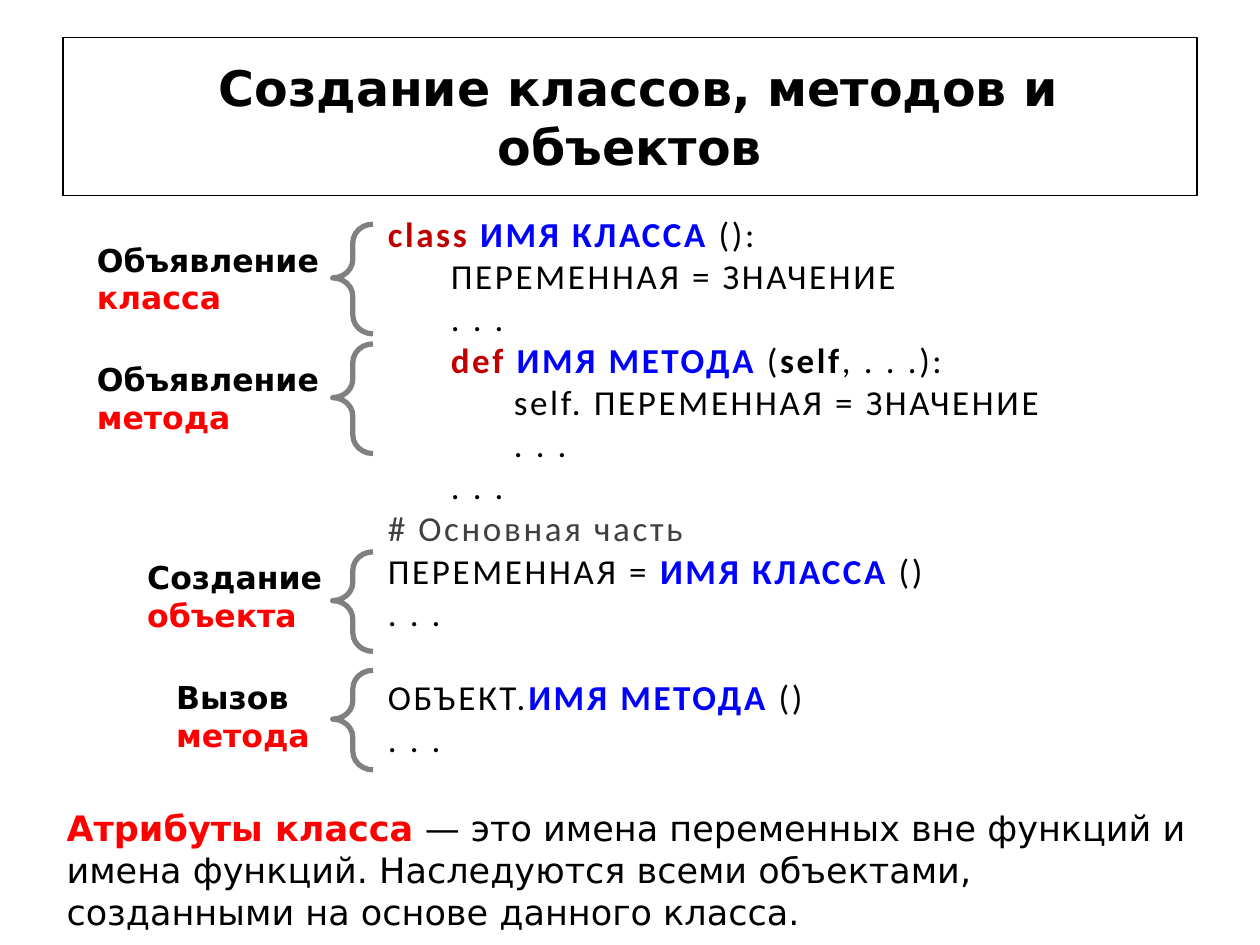
from pptx import Presentation
from pptx import util as u
from pptx.dml.color import RGBColor
from pptx.enum import shapes, text
from lxml import etree

BLACK = RGBColor(0, 0, 0)
WHITE = RGBColor(255, 255, 255)
RED = RGBColor(255, 0, 0)
DARK = RGBColor(0xC0, 0, 0)
BLUE = RGBColor(0, 0, 255)
GRAY = RGBColor(0x80, 0x80, 0x80)
NOTE = RGBColor(0x40, 0x40, 0x40)
SANS = "DejaVu Sans"
CODE = "Calibri"

PLAIN = (BLACK, False)
BOLD = (BLACK, True)
KEY = (DARK, True)
NAME = (BLUE, True)
HOT = (RED, True)
REM = (NOTE, False)

TITLE = [[(" Создание классов, методов и объектов", BOLD)]]
LINES = [
    [("class ", KEY), ("ИМЯ КЛАССА ", NAME), ("():", PLAIN)],
    [("\tПЕРЕМЕННАЯ = ЗНАЧЕНИЕ", PLAIN)],
    [("\t. . .", PLAIN)],
    [("\t", PLAIN), ("def ", KEY), ("ИМЯ МЕТОДА ", NAME),
     ("(", PLAIN), ("self", BOLD), (", . . .):", PLAIN)],
    [("\t\tself. ПЕРЕМЕННАЯ = ЗНАЧЕНИЕ", PLAIN)],
    [("\t\t. . .", PLAIN)],
    [("\t. . .", PLAIN)],
    [("# Основная часть", REM)],
    [("ПЕРЕМЕННАЯ = ", PLAIN), ("ИМЯ КЛАССА ", NAME), ("()", PLAIN)],
    [(". . .", PLAIN)],
    [("ОБЪЕКТ.", PLAIN), ("ИМЯ МЕТОДА ", NAME), ("()", PLAIN)],
    [(". . .", PLAIN)],
]
CALL = 10
RULE = [[
    ("Атрибуты класса", HOT),
    (" — это имена переменных вне функций и имена функций. "
     "Наследуются всеми объектами, созданными на основе данного класса.", PLAIN),
]]
# first word, second word, label left, label top, label width, brace top, brace height
PARTS = [
    ("Объявление", "класса", 0.67, 1.86, 2.21, 1.78, 0.87),
    ("Объявление", "метода", 0.67, 2.81, 2.21, 2.73, 0.87),
    ("Создание", "объекта", 1.07, 4.38, 1.73, 4.38, 0.79),
    ("Вызов", "метода", 1.3, 5.33, 1.57, 5.32, 0.79),
]


def place(*box):
    return [u.Inches(v) for v in box]


def write(frame, paras, font, size, track=0):
    frame.word_wrap = True
    for i, runs in enumerate(paras):
        para = frame.paragraphs[0] if i == 0 else frame.add_paragraph()
        for words, (color, bold) in runs:
            run = para.add_run()
            run.text = words
            run.font.name = font
            run.font.size = u.Pt(size)
            run.font.bold = bold
            run.font.color.rgb = color
            if track:
                run.font._element.set("spc", str(track))


def add_text(slide, box, paras, font, size, track=0):
    frame = slide.shapes.add_textbox(*place(*box)).text_frame
    write(frame, paras, font, size, track)
    return frame


def add_form(slide, kind, box, color, width):
    form = slide.shapes.add_shape(kind, *place(*box))
    form.shadow.inherit = False
    form.fill.solid()
    form.fill.fore_color.rgb = WHITE
    form.line.color.rgb = color
    form.line.width = u.Pt(width)
    return form


def main():
    deck = Presentation()
    deck.slide_width, deck.slide_height = place(10, 7.5)
    slide = deck.slides.add_slide(deck.slide_layouts[6])

    kinds = shapes.MSO_SHAPE
    head = add_form(slide, kinds.RECTANGLE, (0.5, 0.3, 9, 1.25), BLACK, 0.75)
    write(head.text_frame, TITLE, SANS, 28)
    head.text_frame.vertical_anchor = text.MSO_ANCHOR.MIDDLE
    head.text_frame.paragraphs[0].alignment = text.PP_ALIGN.CENTER

    code = add_text(slide, (2.98, 1.64, 6.44, 4.72), LINES, CODE, 20, 150)
    code.paragraphs[CALL].space_before = u.Pt(24)

    for first, second, left, top, width, start, tall in PARTS:
        brace = add_form(slide, kinds.LEFT_BRACE, (2.64, start, 0.32, tall), GRAY, 3)
        brace.adjustments[0] = 0.46
        brace.adjustments[1] = 0.49
        label = [[(first, BOLD)], [(second, HOT)]]
        add_text(slide, (left, top, width, 0.71), label, SANS, 18)

    add_text(slide, (0.43, 6.35, 9.13, 1.11), RULE, SANS, 20)
    deck.save("out.pptx")


if __name__ == "__main__":
    main()
